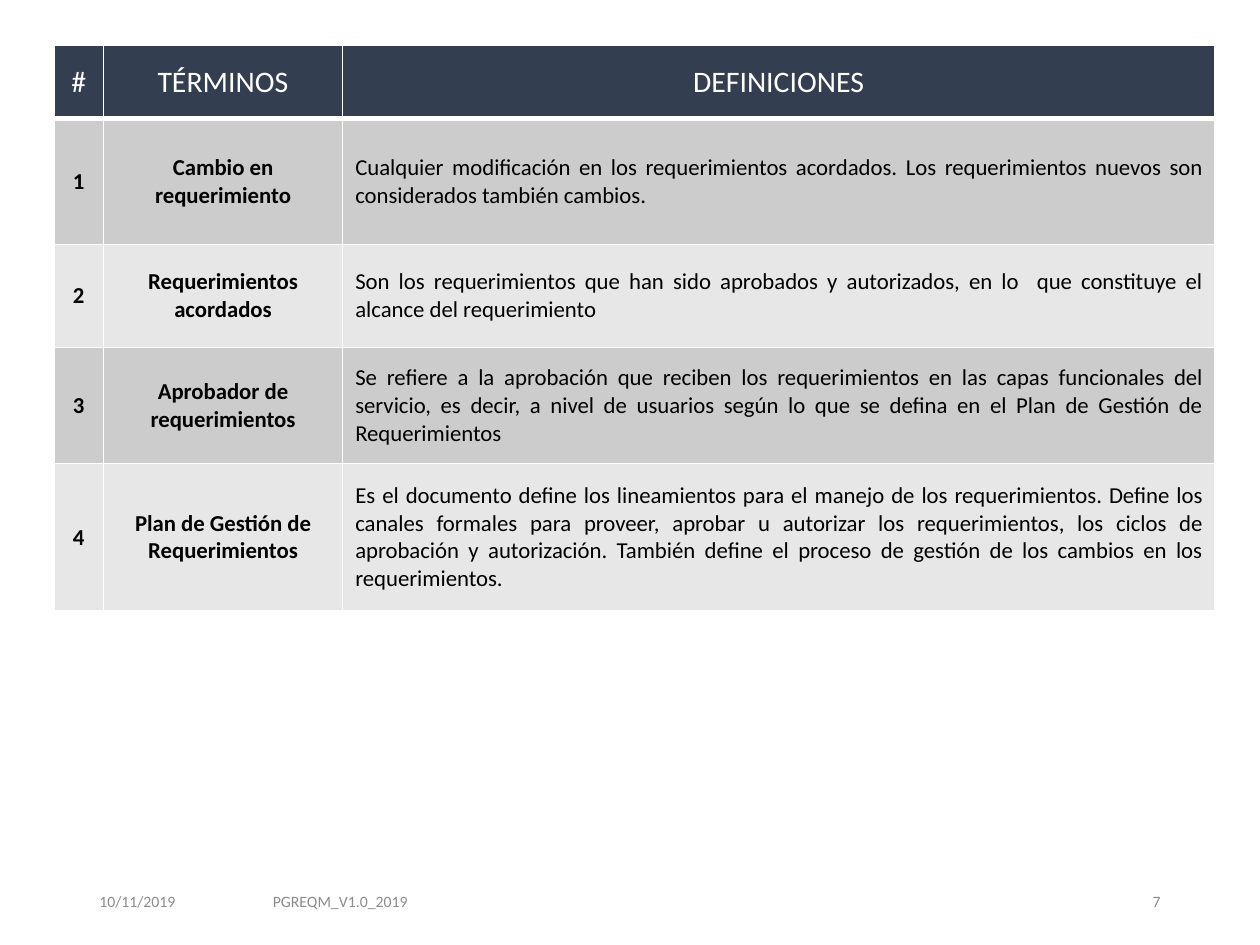
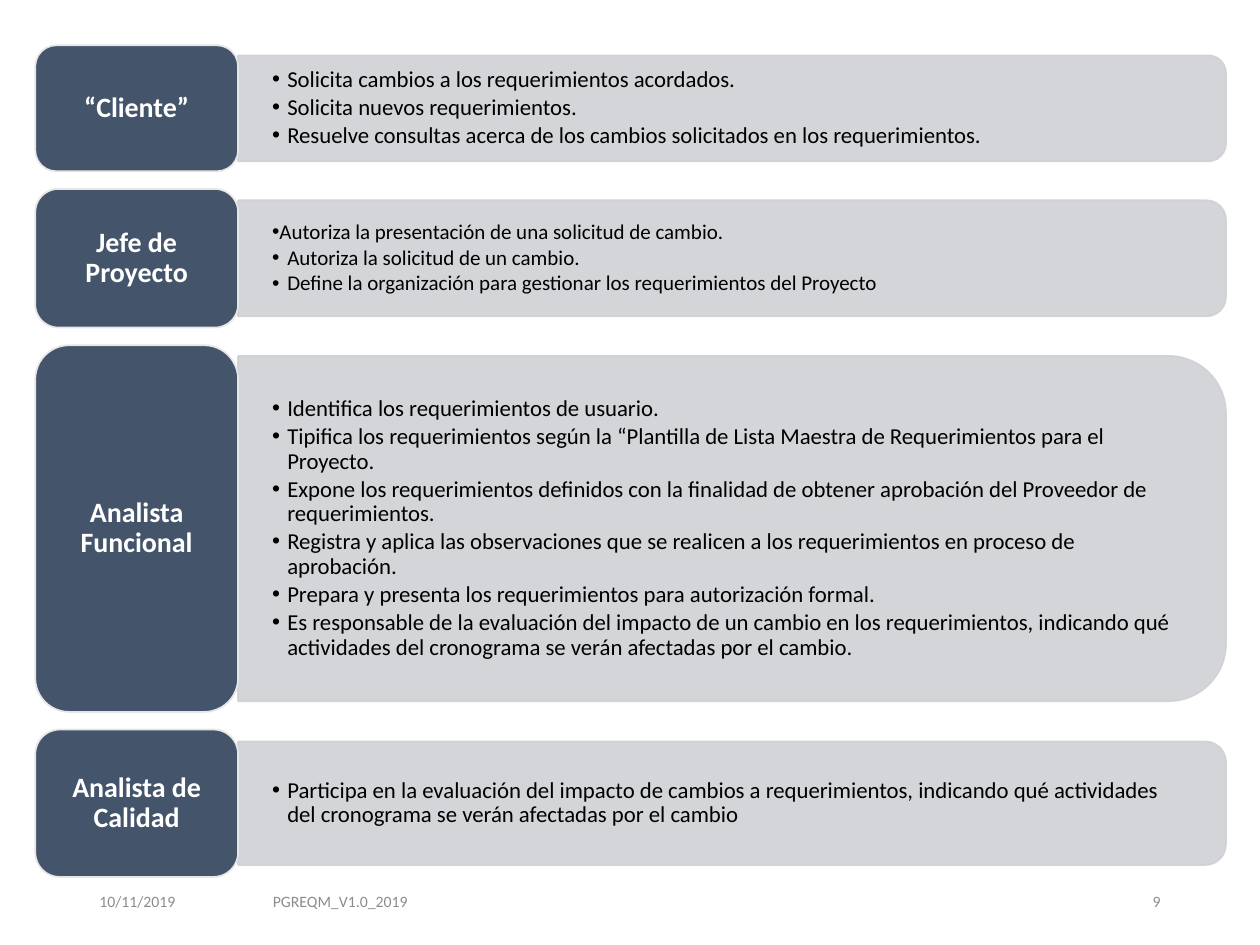
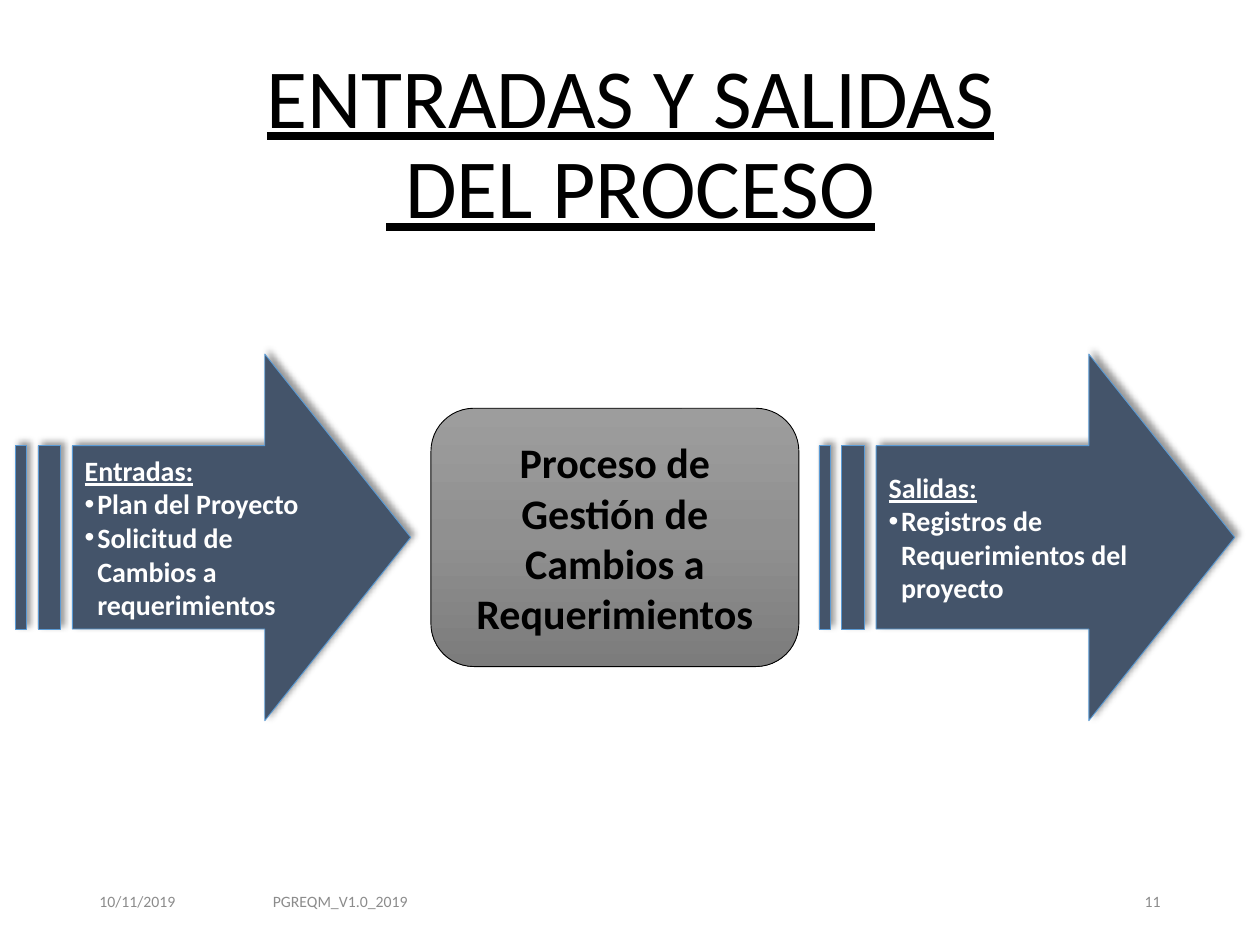
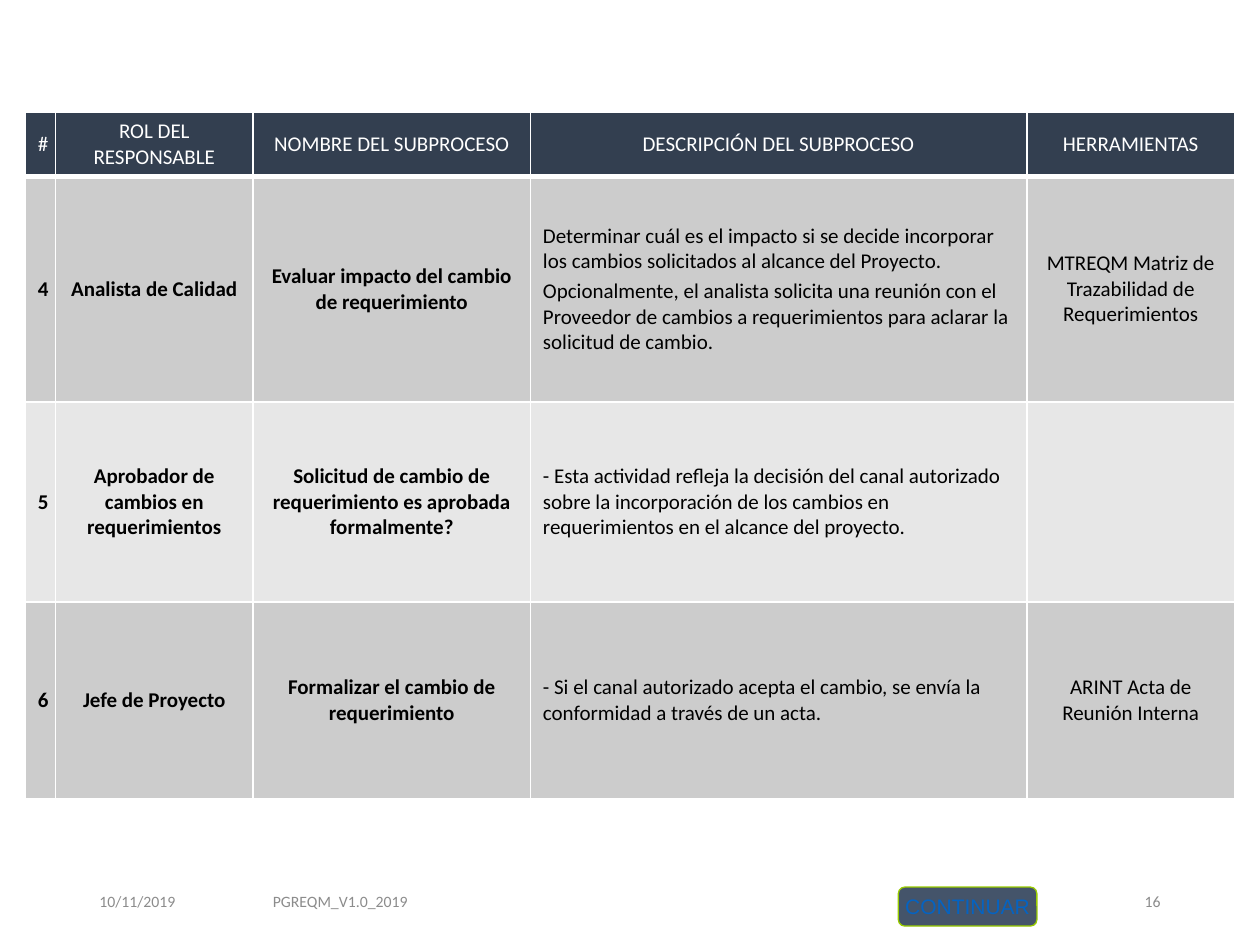
"""Builds four slides on the requirements change management process."""
import copy

import lxml.etree
import pptx
import pptx.dml.color
import pptx.enum.shapes
import pptx.enum.text
import pptx.oxml.ns
import pptx.util

Inches = pptx.util.Inches
Pt = pptx.util.Pt
RGBColor = pptx.dml.color.RGBColor
SHAPE = pptx.enum.shapes.MSO_SHAPE
ALIGN = pptx.enum.text.PP_ALIGN
ANCHOR = pptx.enum.text.MSO_ANCHOR
qn = pptx.oxml.ns.qn

WHITE = RGBColor(0xFF, 0xFF, 0xFF)
BLACK = RGBColor(0x00, 0x00, 0x00)
FOOTER_GRAY = RGBColor(0x8C, 0x8C, 0x8C)
HEADER_NAVY = RGBColor(0x33, 0x3F, 0x50)
SLATE = RGBColor(0x44, 0x54, 0x6A)
BANDS = (RGBColor(0xCC, 0xCC, 0xCC), RGBColor(0xE7, 0xE7, 0xE7))
BAR_GRAY = RGBColor(0xCF, 0xD1, 0xD4)
LABEL_EDGE = RGBColor(0xE7, 0xE6, 0xE6)
ARROW_EDGE = RGBColor(0x5B, 0x9B, 0xD5)
PROCESS_GRAYS = (RGBColor(0x9D, 0x9D, 0x9D), RGBColor(0x90, 0x90, 0x90), RGBColor(0x7C, 0x7C, 0x7C))
BUTTON_EDGE = RGBColor(0x99, 0xCC, 0x00)
BUTTON_BLUE = RGBColor(0x05, 0x63, 0xC1)

FONT = "Calibri"
DOCUMENT_DATE = "10/11/2019"
DOCUMENT_CODE = "PGREQM_V1.0_2019"

TERMS = [
    ("#", "TÉRMINOS", "DEFINICIONES"),
    ("1", "Cambio en requerimiento",
     "Cualquier modificación en los requerimientos acordados. Los requerimientos nuevos son "
     "considerados también cambios. "),
    ("2", "Requerimientos acordados",
     "Son los requerimientos que han sido aprobados y autorizados, en lo  que constituye el "
     "alcance del requerimiento"),
    ("3", "Aprobador de requerimientos",
     "Se refiere a la aprobación que reciben los requerimientos en las capas funcionales del "
     "servicio, es decir, a nivel de usuarios según lo que se defina en el Plan de Gestión de "
     "Requerimientos"),
    ("4", "Plan de Gestión de Requerimientos",
     "Es el documento define los lineamientos para el manejo de los requerimientos. Define los "
     "canales formales para proveer, aprobar u autorizar los requerimientos, los ciclos de "
     "aprobación y autorización. También define el proceso de gestión de los cambios en los "
     "requerimientos."),
]

SUBPROCESSES = [
    ("#", "ROL DEL RESPONSABLE", "NOMBRE DEL SUBPROCESO", "DESCRIPCIÓN DEL SUBPROCESO",
     "HERRAMIENTAS"),
    ("4", "Analista de Calidad", "Evaluar impacto del cambio de requerimiento",
     "Determinar cuál es el impacto si se decide incorporar los cambios solicitados al alcance "
     "del Proyecto.\n"
     "Opcionalmente, el analista solicita una reunión con el Proveedor de cambios a "
     "requerimientos para aclarar la solicitud de cambio.",
     "MTREQM Matriz de Trazabilidad de Requerimientos"),
    ("5", "Aprobador de cambios en requerimientos",
     "Solicitud de cambio de requerimiento es aprobada formalmente?",
     "- Esta actividad refleja la decisión del canal autorizado sobre la incorporación de los "
     "cambios en requerimientos en el alcance del proyecto.", ""),
    ("6", "Jefe de Proyecto", "Formalizar el cambio de requerimiento",
     "- Si el canal autorizado acepta el cambio, se envía la conformidad a través de un acta.",
     "ARINT Acta de Reunión Interna"),
]

# Role, label height, bar height, text size, indent of the first duty, duties
ROLES = [
    ("“Cliente”", 1.0, 0.84, 13, 0.12, [
        "Solicita cambios a los requerimientos acordados.",
        "Solicita nuevos requerimientos.",
        "Resuelve consultas acerca de los cambios solicitados en los requerimientos."]),
    ("Jefe de Proyecto", 1.1, 0.92, 12, 0, [
        "Autoriza la presentación de una solicitud de cambio.",
        "Autoriza la solicitud de un cambio.",
        "Define la organización para gestionar los requerimientos del Proyecto"]),
    ("Analista Funcional", 2.91, 2.74, 13, 0.12, [
        "Identifica los requerimientos de usuario.",
        "Tipifica los requerimientos según la “Plantilla de Lista Maestra de Requerimientos "
        "para el Proyecto.",
        "Expone los requerimientos definidos con la finalidad de obtener aprobación del "
        "Proveedor de requerimientos.",
        "Registra y aplica las observaciones que se realicen a los requerimientos en proceso "
        "de aprobación.",
        "Prepara y presenta los requerimientos para autorización formal.",
        "Es responsable de la evaluación del impacto de un cambio en los requerimientos, "
        "indicando qué actividades del cronograma se verán afectadas por el cambio."]),
    ("Analista de Calidad", 1.17, 0.98, 13, 0.12, [
        "Participa en la evaluación del impacto de cambios a requerimientos, indicando qué "
        "actividades del cronograma se verán afectadas por el cambio"]),
]


def add_run(paragraph, text, size, color, bold=False, underline=False, font=FONT):
    """Adds one formatted run to a paragraph."""
    run = paragraph.add_run()
    run.text = text
    run.font.name = font
    run.font.size = Pt(size)
    run.font.color.rgb = color
    run.font.bold = bold
    run.font.underline = underline


def next_paragraph(frame, index, align=ALIGN.LEFT):
    """Returns the first paragraph of a frame, or a new one after it."""
    paragraph = frame.add_paragraph() if index else frame.paragraphs[0]
    paragraph.alignment = align
    return paragraph


def set_bullet(paragraph, indent):
    """Gives a paragraph a bullet with a hanging indent in inches."""
    properties = paragraph._p.get_or_add_pPr()
    properties.set("marL", str(Inches(indent)))
    properties.set("indent", str(-Inches(indent)))
    lxml.etree.SubElement(properties, qn("a:buFont"), typeface="Arial")
    lxml.etree.SubElement(properties, qn("a:buChar"), char="•")


def set_frame(frame, anchor=ANCHOR.MIDDLE, side=0.1, edge=0.05):
    """Sets wrapping, anchor and margins of a text frame."""
    frame.word_wrap = True
    frame.vertical_anchor = anchor
    frame.margin_left = frame.margin_right = Inches(side)
    frame.margin_top = frame.margin_bottom = Inches(edge)
    return frame


def add_text_frame(slide, left, top, width, height, **settings):
    """Adds a text box and returns its frame."""
    box = slide.shapes.add_textbox(Inches(left), Inches(top), Inches(width), Inches(height))
    return set_frame(box.text_frame, **settings)


def add_block(slide, kind, left, top, width, height, fill, edge, edge_width):
    """Adds a flat preset shape with a solid fill and an outline."""
    block = slide.shapes.add_shape(kind, Inches(left), Inches(top), Inches(width), Inches(height))
    block.shadow.inherit = False
    block.fill.solid()
    block.fill.fore_color.rgb = fill
    block.line.color.rgb = edge
    block.line.width = Pt(edge_width)
    set_frame(block.text_frame)
    return block


def add_footer(slide, number):
    """Adds the date, the document code and the slide number."""
    for left, width, text, align in (
            (0.69, 2.25, DOCUMENT_DATE, ALIGN.LEFT),
            (0.72, 3.96, DOCUMENT_CODE, ALIGN.CENTER),
            (7.06, 2.25, str(number), ALIGN.RIGHT)):
        frame = add_text_frame(slide, left, 6.95, width, 0.4)
        add_run(next_paragraph(frame, 0, align), text, 9, FOOTER_GRAY)


def set_borders(cell, bottom_width):
    """Draws white borders around a table cell."""
    properties = cell._tc.get_or_add_tcPr()
    for side, width in (("L", 1), ("R", 1), ("T", 1), ("B", bottom_width)):
        border = lxml.etree.SubElement(properties, qn("a:ln" + side), w=str(Pt(width)))
        paint = lxml.etree.SubElement(border, qn("a:solidFill"))
        lxml.etree.SubElement(paint, qn("a:srgbClr"), val=str(WHITE))


def add_banded_table(slide, left, top, columns, heights, rows, header_size, body_size,
                     bold_columns, prose_column, prose_align):
    """Adds a table with a navy header and alternating gray rows."""
    table = slide.shapes.add_table(
        len(rows), len(columns), Inches(left), Inches(top),
        Inches(sum(columns)), Inches(sum(heights))).table
    table.horz_banding = False
    for column, width in zip(table.columns, columns):
        column.width = Inches(width)
    for r, (values, height) in enumerate(zip(rows, heights)):
        table.rows[r].height = Inches(height)
        is_header = r == 0
        for c, value in enumerate(values):
            cell = table.cell(r, c)
            cell.vertical_anchor = ANCHOR.MIDDLE
            set_borders(cell, 3 if is_header else 1)
            cell.fill.solid()
            cell.fill.fore_color.rgb = HEADER_NAVY if is_header else BANDS[(r - 1) % 2]
            is_prose = c == prose_column and not is_header
            for i, text in enumerate(value.split("\n") if value else []):
                paragraph = next_paragraph(cell.text_frame, i,
                                           prose_align if is_prose else ALIGN.CENTER)
                if is_header:
                    add_run(paragraph, text, header_size, WHITE)
                else:
                    paragraph.space_before = Pt(0.2 * body_size)
                    add_run(paragraph, text, body_size, BLACK, c < bold_columns)


def set_opacity(block, percent):
    """Makes the fill and the outline of a shape partly transparent."""
    for color in block._element.spPr.iter(qn("a:srgbClr")):
        lxml.etree.SubElement(color, qn("a:alpha"), val=str(percent * 1000))


def add_role(slide, top, role, label_height, bar_height, size, first_indent, duties):
    """Adds a role label with the bar that lists its duties."""
    label_left, label_width, bar_length = 0.28, 1.61, 7.84
    bar_left = label_left + label_width
    middle = top + label_height / 2
    bar = add_block(slide, SHAPE.ROUND_2_SAME_RECTANGLE,
                    bar_left + (bar_length - bar_height) / 2, middle - bar_length / 2,
                    bar_height, bar_length, BAR_GRAY, BAR_GRAY, 1)
    bar.rotation = 90
    set_opacity(bar, 90)

    frame = add_text_frame(slide, bar_left, middle - 0.45 * bar_height,
                           bar_length - 0.05 * bar_height, 0.9 * bar_height,
                           side=0.27, edge=0.14)
    for i, duty in enumerate(duties):
        paragraph = next_paragraph(frame, i)
        paragraph.level = 1
        paragraph.line_spacing = 0.9
        paragraph.space_after = Pt(0.15 * size)
        set_bullet(paragraph, 0.12 if i else first_indent)
        add_run(paragraph, duty, size, BLACK)

    label = add_block(slide, SHAPE.ROUNDED_RECTANGLE, label_left, top, label_width,
                      label_height, SLATE, LABEL_EDGE, 1)
    paragraph = next_paragraph(label.text_frame, 0, ALIGN.CENTER)
    paragraph.line_spacing = 0.9
    add_run(paragraph, role, 16, WHITE, bold=True)


def add_flow_arrow(slide, left, width, heading, items):
    """Adds a striped arrow with a heading and bulleted items."""
    arrow = add_block(slide, SHAPE.STRIPED_RIGHT_ARROW, left, 2.81, width, 2.91,
                      SLATE, ARROW_EDGE, 0.5)
    arrow.adjustments[0] = 0.5
    arrow.adjustments[1] = 0.398
    effects = arrow._element.spPr.find(qn("a:effectLst"))
    shadow = lxml.etree.SubElement(effects, qn("a:outerShdw"), blurRad=str(Pt(4)),
                                   dist=str(Pt(3)), dir=str(315 * 60000), algn="bl",
                                   rotWithShape="0")
    tint = lxml.etree.SubElement(shadow, qn("a:srgbClr"), val=str(BLACK))
    lxml.etree.SubElement(tint, qn("a:alpha"), val="40000")

    frame = arrow.text_frame
    add_run(next_paragraph(frame, 0), heading, 16, WHITE, bold=True, underline=True)
    for i, item in enumerate(items, start=1):
        paragraph = next_paragraph(frame, i)
        set_bullet(paragraph, 0.1)
        add_run(paragraph, item, 16, WHITE, bold=True)


def add_process(slide):
    """Adds the central process box with its gray gradient."""
    process = add_block(slide, SHAPE.ROUNDED_RECTANGLE, 3.42, 3.24, 2.92, 2.05,
                        PROCESS_GRAYS[0], BLACK, 0.5)
    process.fill.gradient()
    process.fill.gradient_angle = 270
    stops = process._element.spPr.find(".//" + qn("a:gsLst"))
    stops.insert(1, copy.deepcopy(stops[0]))
    stops[1].set("pos", "50000")
    for stop, gray in zip(process.fill.gradient_stops, PROCESS_GRAYS):
        stop.color.rgb = gray
    add_run(next_paragraph(process.text_frame, 0, ALIGN.CENTER),
            "Proceso de Gestión de Cambios a Requerimientos", 24, BLACK, bold=True)


def add_title(slide, lines):
    """Adds the underlined title, one run for each line."""
    frame = add_text_frame(slide, 0.28, 0.19, 9.45, 1.74, anchor=ANCHOR.BOTTOM)
    paragraph = next_paragraph(frame, 0, ALIGN.CENTER)
    paragraph.line_spacing = 0.9
    for i, line in enumerate(lines):
        if i:
            paragraph.add_line_break()
        add_run(paragraph, line, 48, BLACK, underline=True)


def add_continue_button(slide):
    """Adds the button that closes the subprocess table."""
    button = add_block(slide, SHAPE.FLOWCHART_ALTERNATE_PROCESS, 7.13, 7.04, 1.1, 0.31,
                       SLATE, BUTTON_EDGE, 0.75)
    set_frame(button.text_frame, side=0, edge=0)
    add_run(next_paragraph(button.text_frame, 0, ALIGN.CENTER), "CONTINUAR", 12,
            BUTTON_BLUE, font="Arial")


def main():
    """Builds and saves the presentation."""
    deck = pptx.Presentation()
    deck.slide_width = Inches(10)
    deck.slide_height = Inches(7.5)
    blank = deck.slide_layouts[6]
    terms, roles, flow, subprocesses = (deck.slides.add_slide(blank) for _ in range(4))
    for slide, number in ((terms, 7), (roles, 9), (flow, 11), (subprocesses, 16)):
        add_footer(slide, number)

    add_banded_table(terms, 0.43, 0.36, (0.39, 1.9, 6.92), (0.58, 1, 0.82, 0.92, 1.17),
                     TERMS, 17, 13, 2, 2, ALIGN.JUSTIFY)

    top = 0.36
    for role, label_height, *details in ROLES:
        add_role(roles, top, role, label_height, *details)
        top += label_height + 0.14

    add_title(flow, ("ENTRADAS Y SALIDAS", " DEL PROCESO"))
    add_flow_arrow(flow, 0.12, 3.14, "Entradas:",
                   ("Plan del Proyecto", "Solicitud de Cambios a requerimientos"))
    add_flow_arrow(flow, 6.5, 3.3, "Salidas:", ("Registros de Requerimientos del proyecto",))
    add_process(flow)

    add_banded_table(subprocesses, 0.2, 0.89, (0.24, 1.57, 2.2, 3.94, 1.65),
                     (0.51, 1.79, 1.59, 1.56), SUBPROCESSES, 12, 12, 3, 3, ALIGN.LEFT)
    add_continue_button(subprocesses)

    deck.save("out.pptx")


if __name__ == "__main__":
    main()
